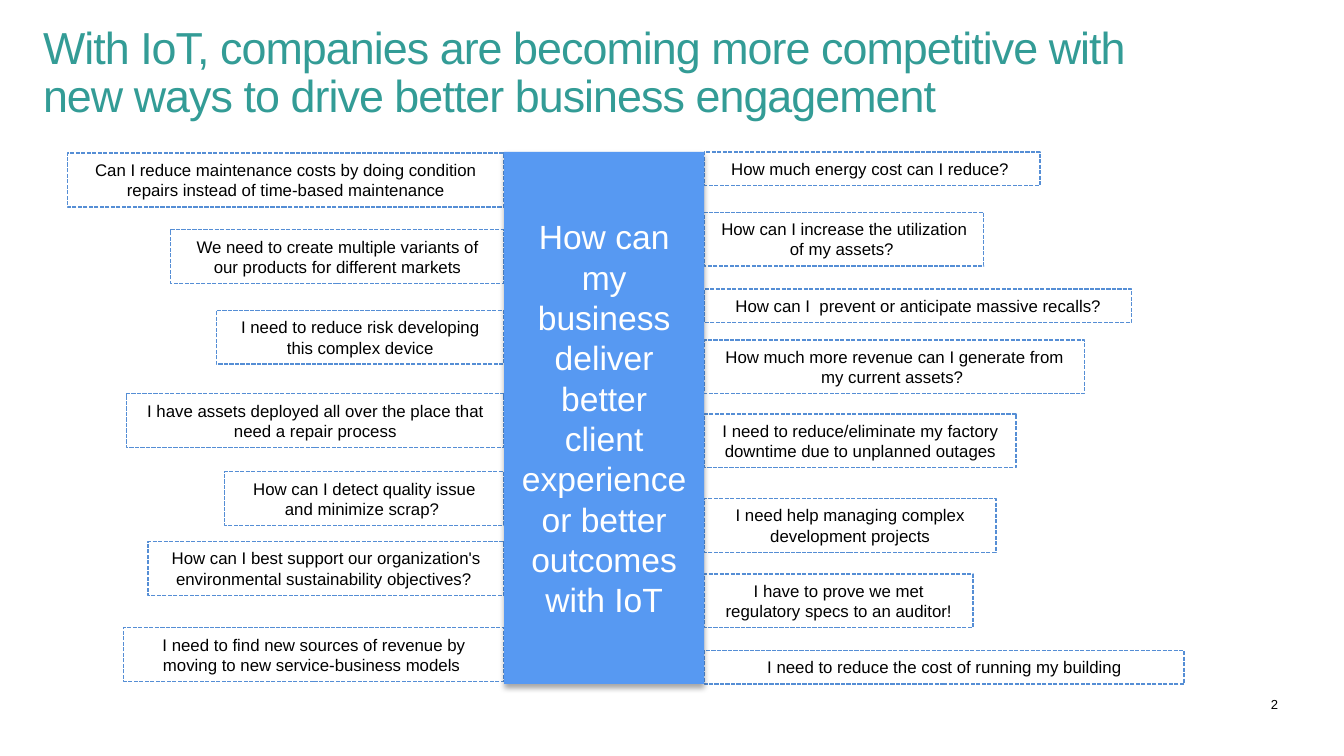
"""Build a slide of client questions on both sides of a central IoT panel."""
from lxml.etree import SubElement
from pptx import Presentation
from pptx.dml.color import RGBColor
from pptx.enum.dml import MSO_LINE as Dash
from pptx.enum.shapes import MSO_SHAPE as Shape
from pptx.enum.text import MSO_ANCHOR as Anchor, MSO_AUTO_SIZE as Fit, PP_ALIGN as Align
from pptx.oxml.ns import qn
from pptx.util import Inches, Pt

LEFT, RIGHT, TOP = 3.75, 5.24, 1.13
ROW = {1: 0.25, 2: 0.4}


def write(shape, text, size, color, align, anchor):
    frame = shape.text_frame
    frame.word_wrap = True
    frame.auto_size = Fit.NONE
    frame.vertical_anchor = anchor
    frame.text = text
    para = frame.paragraphs[0]
    para.alignment = align
    para.font.name = "Arial"
    para.font.size = Pt(size)
    para.font.color.rgb = RGBColor.from_string(color)
    return frame


def block(x, y, w, h):
    shape = slide.shapes.add_shape(Shape.RECTANGLE, Inches(x), Inches(y), Inches(w), Inches(h))
    shape.shadow.inherit = False
    return shape


deck = Presentation()
deck.slide_width, deck.slide_height = Inches(10), Inches(10 * 9 / 16)
slide = deck.slides.add_slide(deck.slide_layouts[5])

title = slide.shapes.title
title.left, title.top, title.width, title.height = map(Inches, (0.25, 0.15, 8.25, 0.8))
frame = write(title, "With IoT, companies are becoming more competitive with new ways to drive "
              "better business engagement", 24, "339C96", Align.LEFT, Anchor.TOP)
frame.margin_left = frame.margin_right = Inches(0.07)
frame.margin_top = frame.margin_bottom = Inches(0.04)
frame.paragraphs[0].line_spacing = 0.9
frame.paragraphs[0].runs[0].font._element.set("spc", "-50")

needs = [
    (1.14, 3.25, "Can I reduce maintenance costs by doing condition repairs instead of time-based maintenance"),
    (1.71, 2.48, "We need to create multiple variants of our products for different markets"),
    (2.31, 2.14, "I need to reduce risk developing this complex device"),
    (2.93, 2.81, "I have assets deployed all over the place that need a repair process"),
    (3.51, 2.08, "How can I detect quality issue and minimize scrap? "),
    (4.03, 2.65, "How can I best support our organization's environmental sustainability objectives? "),
    (4.67, 2.83, "I need to find new sources of revenue by moving to new service-business models "),
]
goals = [
    (1.13, 2.5, 1, "How much energy cost can I reduce? "),
    (1.58, 2.08, 2, "How can I increase the utilization of my assets? "),
    (2.15, 3.18, 1, "How can I  prevent or anticipate massive recalls?"),
    (2.53, 2.83, 2, "How much more revenue can I generate from my current assets? "),
    (3.08, 2.32, 2, "I need to reduce/eliminate my factory downtime due to unplanned outages"),
    (3.71, 2.17, 2, "I need help managing complex development projects"),
    (4.27, 2, 2, "I have to prove we met regulatory specs to an auditor!"),
    (4.84, 3.57, 1, "I need to reduce the cost of running my building"),
]
boxes = [(LEFT - w, y, w, 2, text) for y, w, text in needs]
boxes += [(RIGHT, y, w, lines, text) for y, w, lines, text in goals]
for x, y, w, lines, text in boxes:
    box = block(x, y, w, ROW[lines])
    box.fill.background()
    box.line.color.rgb = RGBColor.from_string("558ED5")
    box.line.width = Pt(0.75)
    box.line.dash_style = Dash.SQUARE_DOT
    write(box, text, 9, "000000", Align.CENTER, Anchor.TOP)

panel = block(LEFT, TOP, RIGHT - LEFT, 3.96)
panel.fill.solid()
panel.fill.fore_color.rgb = RGBColor.from_string("5799F2")
panel.line.fill.background()
frame = write(panel, "How can my business deliver better client experience or better outcomes with IoT",
              18, "FFFFFF", Align.CENTER, Anchor.MIDDLE)
frame.margin_left = frame.margin_right = Inches(0.12)
glow = panel._element.spPr.find(qn("a:effectLst"))
shade = SubElement(glow, qn("a:outerShdw"), blurRad=str(Pt(3.1)), dist=str(Pt(1.8)),
                   dir="5400000", rotWithShape="0")
tint = SubElement(shade, qn("a:srgbClr"), val="000000")
SubElement(tint, qn("a:alpha"), val="35000")

page = slide.shapes.add_textbox(Inches(9.14), Inches(5.18), Inches(0.37), Inches(0.12))
frame = write(page, "2", 7, "000000", Align.RIGHT, Anchor.BOTTOM)
frame.margin_left = frame.margin_right = frame.margin_top = frame.margin_bottom = 0

deck.save("out.pptx")
